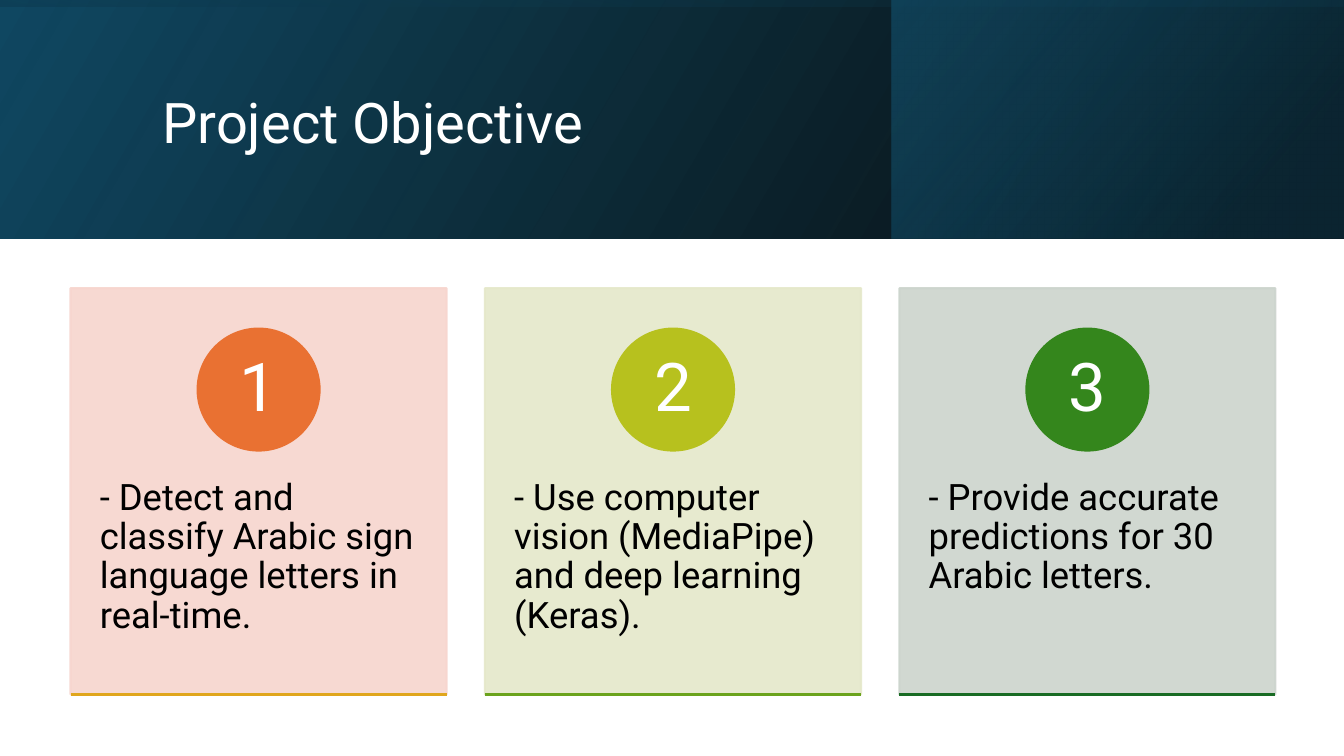
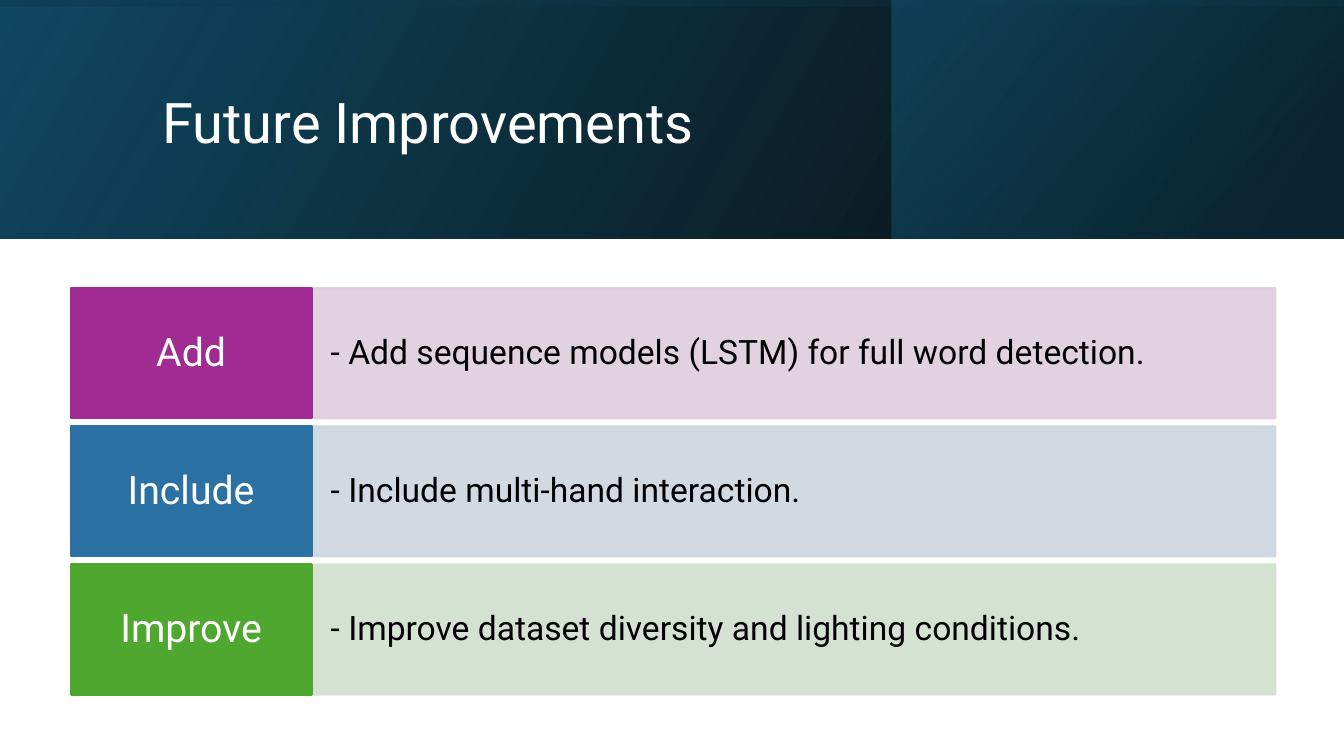
from pptx import Presentation
from pptx.dml.color import RGBColor
from pptx.enum.shapes import MSO_CONNECTOR as Link, MSO_SHAPE as Shape
from pptx.enum.text import MSO_ANCHOR as Anchor, PP_ALIGN as Align
from pptx.oxml.ns import qn
from pptx.oxml.xmlchemy import OxmlElement as Node
from pptx.util import Inches, Pt

FONT = "Roboto"
WHITE, BLACK = "FFFFFF", "000000"
LEFT, TOP = 0.7, 2.86
BANDS = [
    ((0, 0, 13.33, 2.37), 0, 30, [(0, "000000", 96), (1, "104862", 100)]),
    ((8.84, 0, 4.49, 2.37), 0, 40, [(0.19, "0B3041", 68), (1, "156082", 48)]),
    ((5.48, -5.48, 2.37, 13.33), 270, 10, [(0.23, "104862", 16), (0.99, "000000", 45)]),
]
CARDS = [
    ("- Detect and classify Arabic sign language letters in real-time.", "F7D5CE", "E97132", "E0A61D"),
    ("- Use computer vision (MediaPipe) and deep learning (Keras).", "E5E8CA", "B7C11E", "6BA31D"),
    ("- Provide accurate predictions for 30 Arabic letters.", "CCD4CD", "34861C", "196B24"),
]
ROWS = [
    ("Add", "- Add sequence models (LSTM) for full word detection.", "A02B93", "DFCDDC"),
    ("Include", "- Include multi-hand interaction.", "2C71A4", "CDD6E0"),
    ("Improve", "- Improve dataset diversity and lighting conditions.", "4EA72E", "D0E1CD"),
]


def tint(color, code):
    color.rgb = RGBColor.from_string(code)


def fade(part, share):
    for color in part.iter(qn("a:srgbClr")):
        alpha = Node("a:alpha")
        alpha.set("val", str(share * 1000))
        color.append(alpha)


def write(shape, text, size, code, align=Align.LEFT, anchor=Anchor.MIDDLE, pad=None):
    frame = shape.text_frame
    frame.text = text
    frame.word_wrap = True
    frame.vertical_anchor = anchor
    if pad:
        frame.margin_left = frame.margin_right = Inches(pad[0])
        frame.margin_top, frame.margin_bottom = Inches(pad[1]), Inches(pad[2])
    line = frame.paragraphs[0]
    line.alignment = align
    line.line_spacing = 0.9
    font = line.runs[0].font
    font.name, font.size = FONT, Pt(size)
    tint(font.color, code)


def block(slide, box, code, kind=Shape.RECTANGLE, share=100):
    shape = slide.shapes.add_shape(kind, *map(Inches, box))
    shape.shadow.inherit = False
    shape.fill.solid()
    tint(shape.fill.fore_color, code)
    tint(shape.line.color, code)
    shape.line.width = Pt(1.5)
    if share < 100:
        fade(shape._element.spPr, share)
    return shape


def band(slide, box, turn, angle, stops):
    shape = slide.shapes.add_shape(Shape.RECTANGLE, *map(Inches, box))
    shape.shadow.inherit = False
    shape.rotation = turn
    shape.line.fill.background()
    shape._element.spPr.find(qn("a:xfrm")).set("flipH", "1")
    shape.fill.gradient()
    shape.fill.gradient_angle = angle
    for stop, (place, code, share) in zip(shape.fill.gradient_stops, stops):
        stop.position = place
        tint(stop.color, code)
        fade(stop._gs, share)


def rule(slide, left, top, width, code):
    line = slide.shapes.add_connector(
        Link.STRAIGHT, Inches(left), Inches(top), Inches(left + width), Inches(top))
    tint(line.line.color, code)
    line.line.width = Pt(1.5)
    line._element.spPr.append(Node("a:effectLst"))


def start(deck, text):
    slide = deck.slides.add_slide(deck.slide_layouts[5])
    for item in BANDS:
        band(slide, *item)
    title = slide.shapes.title
    title.left, title.top = Inches(1.51), Inches(0.38)
    title.width, title.height = Inches(10.63), Inches(1.72)
    write(title, text, 40, WHITE)
    slide.shapes._spTree.append(title._element)
    return slide


def card(slide, index, text, pale, bright, edge):
    width, height, disc = 3.73, 4.03, 1.21
    left = LEFT + index * 4.11
    panel = block(slide, (left, TOP, width, height), pale, share=90)
    write(panel, text, 26, BLACK, anchor=Anchor.TOP, pad=(0.29, 1.89, 0.36))
    badge = block(slide, (left + (width - disc) / 2, TOP + 0.4, disc, disc), bright, Shape.OVAL)
    write(badge, str(index + 1), 48, WHITE, Align.CENTER, pad=(0.09, 0.01, 0.01))
    rule(slide, left, TOP + height, width, edge)


def row(slide, index, name, text, bright, pale):
    label, height = 2.39, 1.29
    top = TOP + index * 1.37
    panel = block(slide, (LEFT + label, top, 9.56, height), pale, share=90)
    write(panel, text, 24, BLACK, pad=(0.19, 0.33, 0.33))
    head = block(slide, (LEFT, top, label, height), bright)
    write(head, name, 28, WHITE, Align.CENTER, pad=(0.13, 0.13, 0.13))


def main():
    deck = Presentation()
    deck.slide_width, deck.slide_height = Inches(13.33), Inches(7.5)
    for title, draw, items in [
        ("Project Objective", card, CARDS),
        ("Future Improvements", row, ROWS),
    ]:
        slide = start(deck, title)
        for index, item in enumerate(items):
            draw(slide, index, *item)
    deck.save("out.pptx")


if __name__ == "__main__":
    main()
